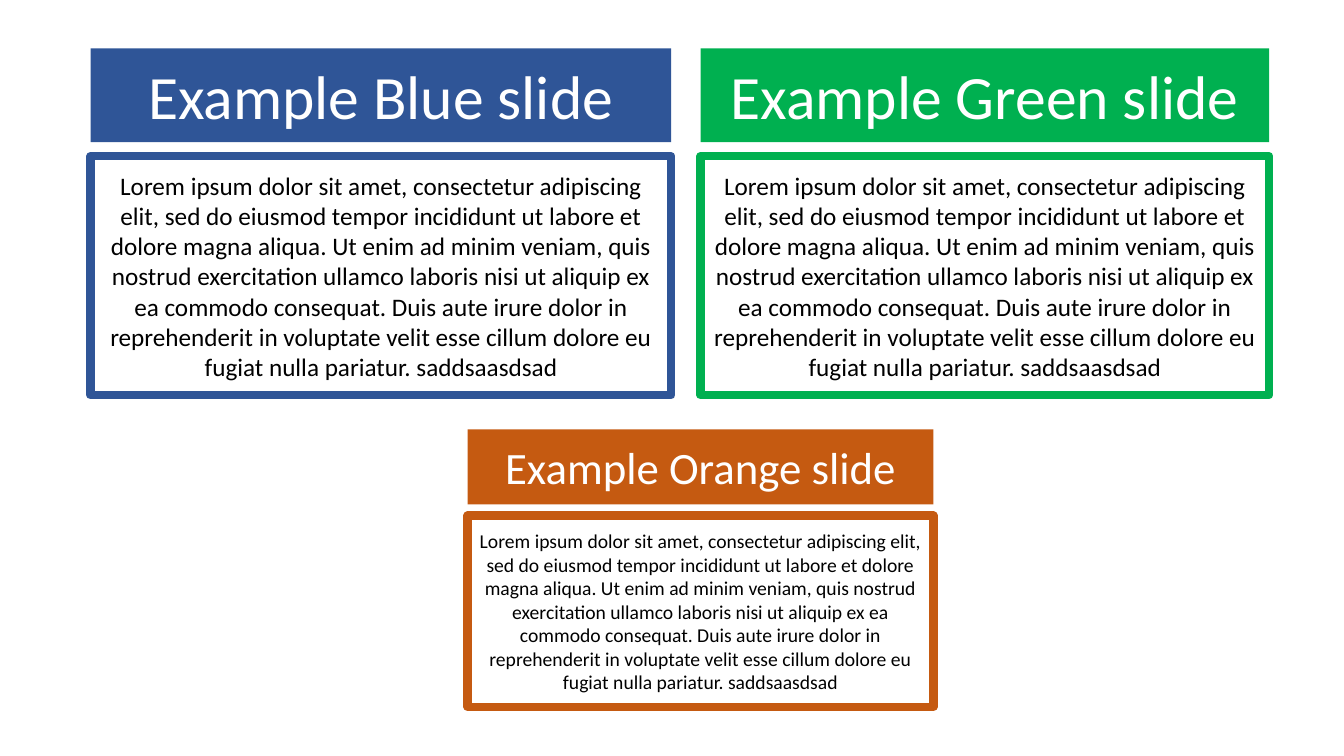
from pptx import Presentation
from pptx.dml.color import RGBColor
from pptx.enum.shapes import MSO_SHAPE
from pptx.enum.text import MSO_ANCHOR, PP_ALIGN
from pptx.util import Inches, Pt

SLIDE_WIDTH = Inches(13.333)
SLIDE_HEIGHT = Inches(7.5)
COLORS = {
    "blue": "2F5597",
    "green": "00B050",
    "orange": "C55A11",
    "white": "FFFFFF",
    "black": "000000",
}
BODY_TEXT = (
    "Lorem ipsum dolor sit amet, consectetur adipiscing elit, sed do eiusmod "
    "tempor incididunt ut labore et dolore magna aliqua. Ut enim ad minim veniam, "
    "quis nostrud exercitation ullamco laboris nisi ut aliquip ex ea commodo "
    "consequat. Duis aute irure dolor in reprehenderit in voluptate velit esse "
    "cillum dolore eu fugiat nulla pariatur.\u00a0saddsaasdsad"
)
# Heights of a full-size card, in percent of the slide height
HEADER_HEIGHT, GAP, BODY_HEIGHT = 12.4, 1.87, 31.6

# Left, top and width are percent of the slide's size
CARDS = [
    {"color": "blue", "left": 6.75, "top": 6.4, "width": 43.2,
     "scale": 1, "title_size": 44, "body_size": 18},
    {"color": "green", "left": 52.13, "top": 6.4, "width": 42.3,
     "scale": 1, "title_size": 44, "body_size": 18},
    {"color": "orange", "left": 34.8, "top": 56.8, "width": 34.65,
     "scale": 0.8, "title_size": 32, "body_size": 14},
]


def color_of(name):
    """Return the named colour."""
    return RGBColor.from_string(COLORS[name])


def set_attributes(target, values):
    """Set every attribute listed in a dict of format values."""
    for name, value in values.items():
        setattr(target, name, value)


def add_box(group, left, top, width, height):
    """Add a rectangle placed in percent of the slide's size."""
    shape = group.shapes.add_shape(
        MSO_SHAPE.RECTANGLE,
        round(SLIDE_WIDTH * left / 100), round(SLIDE_HEIGHT * top / 100),
        round(SLIDE_WIDTH * width / 100), round(SLIDE_HEIGHT * height / 100))
    shape.shadow.inherit = False
    return shape


def write_text(shape, text, size, color):
    """Write centred text into a shape."""
    frame = shape.text_frame
    set_attributes(frame, {"word_wrap": True, "vertical_anchor": MSO_ANCHOR.MIDDLE})
    paragraph = frame.paragraphs[0]
    paragraph.alignment = PP_ALIGN.CENTER
    run = paragraph.add_run()
    run.text = text
    set_attributes(run.font, {"name": "Calibri", "size": Pt(size)})
    run.font.color.rgb = color_of(color)


def add_card(slide, color, left, top, width, scale, title_size, body_size):
    """Add a grouped card: a filled header above an outlined body."""
    group = slide.shapes.add_group_shape()
    header = add_box(group, left, top, width, HEADER_HEIGHT * scale)
    header.fill.solid()
    header.fill.fore_color.rgb = color_of(color)
    header.line.fill.background()
    write_text(header, f"Example {color.title()} slide", title_size, "white")

    body_top = top + (HEADER_HEIGHT + GAP) * scale
    body = add_box(group, left, body_top, width, BODY_HEIGHT * scale)
    body.fill.background()
    body.line.color.rgb = color_of(color)
    body.line.width = Pt(6)
    write_text(body, BODY_TEXT, body_size, "black")


def main():
    """Build the slide of three cards and save it."""
    presentation = Presentation()
    set_attributes(presentation, {"slide_width": SLIDE_WIDTH,
                                  "slide_height": SLIDE_HEIGHT})
    slide = presentation.slides.add_slide(presentation.slide_layouts[6])
    for card in CARDS:
        add_card(slide, **card)
    presentation.save("out.pptx")


main()
